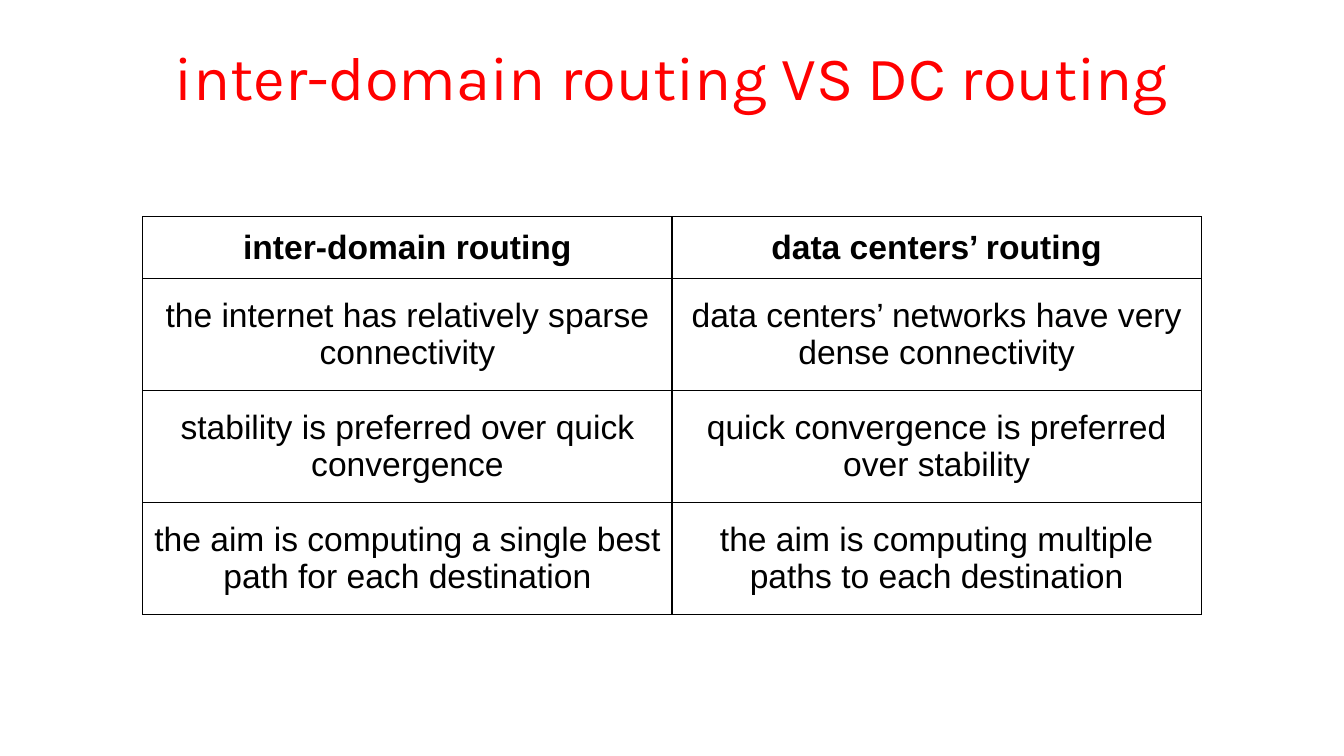
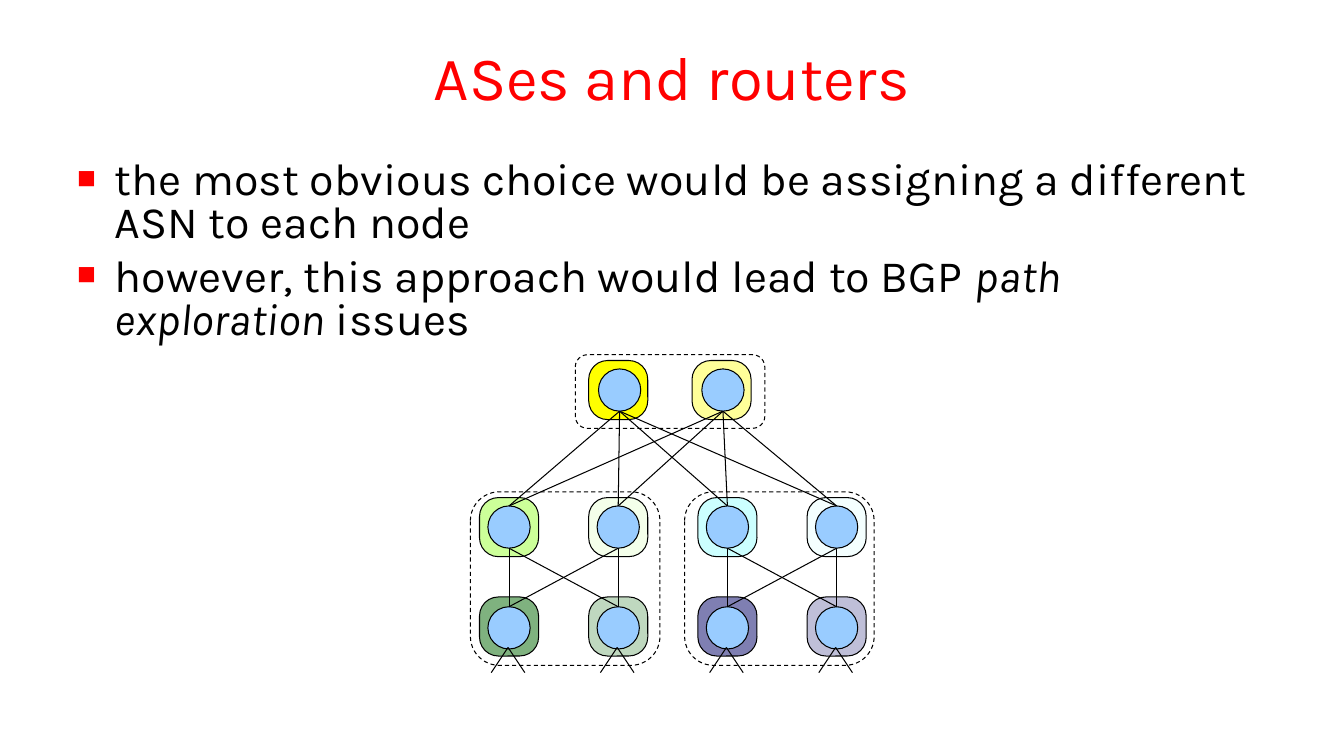
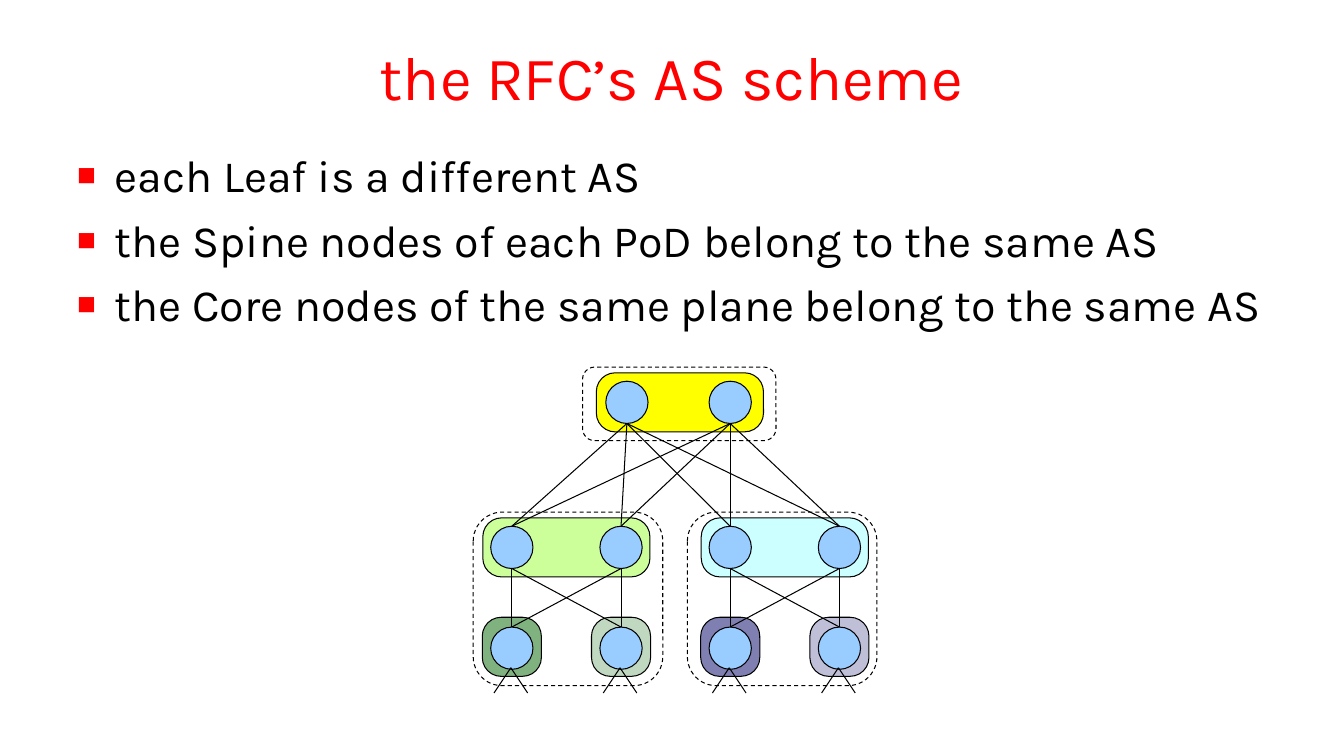
from lxml import etree
from pptx import Presentation
from pptx.dml.color import RGBColor
from pptx.enum.dml import MSO_LINE
from pptx.enum.shapes import MSO_CONNECTOR, MSO_SHAPE
from pptx.enum.text import MSO_ANCHOR, PP_ALIGN
from pptx.oxml.ns import qn
from pptx.util import Pt

STRAIGHT = MSO_CONNECTOR.STRAIGHT
ROUNDED, CIRCLE = MSO_SHAPE.ROUNDED_RECTANGLE, MSO_SHAPE.OVAL
MIDDLE, CENTER, DASH = MSO_ANCHOR.MIDDLE, PP_ALIGN.CENTER, MSO_LINE.DASH

COLORS = {
    "accent": "FF0000", "ink": "000000", "node": "99CCFF",
    "yellow": "FFFF00", "pale_yellow": "FFFF99", "lime": "CCFF99",
    "cyan": "CCFFFF", "green": "006600", "navy": "000066",
}
HEADING_FONT, TABLE_FONT = "Karla", "Arial"

# Content
COMPARISON_TITLE = "inter-domain routing VS DC routing"
COMPARISON = [
    ("inter-domain routing", "data centers’ routing"),
    ("the internet has relatively sparse connectivity",
     "data centers’ networks have very dense connectivity"),
    ("stability is preferred over quick convergence",
     "quick convergence is preferred over stability"),
    ("the aim is computing a single best path for each destination",
     "the aim is computing multiple paths to each destination"),
]

# AS tiles: (tier, first node, last node, colour, opacity in percent)
LEAF_TILES = [
    ("leaf", 0, 0, "green", 50), ("leaf", 1, 1, "green", 25),
    ("leaf", 2, 2, "navy", 50), ("leaf", 3, 3, "navy", 25),
]
# Each bullet is a list of (text, italic) runs
TOPOLOGY_SLIDES = [
    {
        "title": "ASes and routers",
        "bullets": [
            [("the most obvious choice would be assigning a different ASN to each node", False)],
            [("however, this approach would lead to BGP ", False),
             ("path exploration", True), (" issues", False)],
        ],
        "body_top": 111.6, "body_height": 370.8, "line_spacing": 0.8,
        "pod_x": 363.6, "core_x": 442.6, "core_y": 278.6, "spine_y": 376.5,
        "core_tile_shift": -1, "core_box_width": 135.4,
        "tiles": [
            ("core", 0, 0, "yellow", 100), ("core", 1, 1, "pale_yellow", 100),
            ("spine", 0, 0, "lime", 100), ("spine", 1, 1, "lime", 20),
            ("spine", 2, 2, "cyan", 100), ("spine", 3, 3, "cyan", 20),
        ] + LEAF_TILES,
    },
    {
        "title": "the RFC’s AS scheme",
        "bullets": [
            [("each Leaf is a different AS", False)],
            [("the Spine nodes of each PoD belong to the same AS", False)],
            [("the Core nodes of the same plane belong to the same AS", False)],
        ],
        "body_top": 102.2, "body_height": 136, "line_spacing": 1.0,
        "pod_x": 365.6, "core_x": 447.8, "core_y": 287.4, "spine_y": 391,
        "core_tile_shift": 1, "core_box_width": 138.2,
        "tiles": [
            ("core", 0, 1, "yellow", 100),
            ("spine", 0, 1, "lime", 100), ("spine", 2, 3, "cyan", 100),
        ] + LEAF_TILES,
    },
]

# Diagram geometry
POD_STEP, CORE_STEP, LEAF_DROP = 78, 73.8, 72
NODE, RADIUS = 30.2, 15.1
TILE, WIDE_TILE = 42.2, 119.4


def rgb(name):
    return RGBColor.from_string(COLORS[name])


def style_font(font, name, size, color="ink", bold=False, italic=False):
    font.name, font.size, font.bold, font.italic = name, Pt(size), bold, italic
    font.color.rgb = rgb(color)


def add_text_frame(slide, left, top, width, height):
    frame = slide.shapes.add_textbox(Pt(left), Pt(top), Pt(width), Pt(height)).text_frame
    frame.word_wrap = True
    return frame


def add_titled_slide(prs, title):
    slide = prs.slides.add_slide(prs.slide_layouts[6])
    frame = add_text_frame(slide, 48, 9.4, 864, 90)
    frame.vertical_anchor = MIDDLE
    frame.text = title
    frame.paragraphs[0].alignment = CENTER
    style_font(frame.paragraphs[0].runs[0].font, HEADING_FONT, 44, "accent")
    return slide


def add_bullet_mark(paragraph):
    props = paragraph._p.get_or_add_pPr()
    props.set("marL", str(Pt(27)))
    props.set("indent", str(-Pt(27)))
    color = etree.SubElement(props, qn("a:buClr"))
    etree.SubElement(color, qn("a:srgbClr"), val=COLORS["accent"])
    etree.SubElement(props, qn("a:buSzPct"), val="70000")
    etree.SubElement(props, qn("a:buFont"), typeface=TABLE_FONT)
    etree.SubElement(props, qn("a:buChar"), char="■")


def add_bullets(slide, topic):
    frame = add_text_frame(slide, 48, topic["body_top"], 864, topic["body_height"])
    for i, runs in enumerate(topic["bullets"]):
        paragraph = frame.add_paragraph() if i else frame.paragraphs[0]
        add_bullet_mark(paragraph)
        paragraph.line_spacing = topic["line_spacing"]
        paragraph.space_before = Pt(7.5 if i else 0)
        for text, italic in runs:
            run = paragraph.add_run()
            run.text = text
            style_font(run.font, HEADING_FONT, 32, italic=italic)


def set_borders(cell):
    props = cell._tc.get_or_add_tcPr()
    for i, side in enumerate(("a:lnL", "a:lnR", "a:lnT", "a:lnB")):
        border = etree.Element(qn(side), w=str(Pt(1)))
        fill = etree.SubElement(border, qn("a:solidFill"))
        etree.SubElement(fill, qn("a:srgbClr"), val=COLORS["ink"])
        props.insert(i, border)


def add_comparison(slide):
    heights = [44, 80, 80, 80]
    table = slide.shapes.add_table(len(COMPARISON), 2, Pt(102), Pt(154.8),
                                   Pt(756), Pt(sum(heights))).table
    table.first_row = table.horz_banding = False
    for r, (height, texts) in enumerate(zip(heights, COMPARISON)):
        table.rows[r].height = Pt(height)
        for c, text in enumerate(texts):
            cell = table.cell(r, c)
            cell.text = text
            cell.vertical_anchor = MIDDLE
            cell.fill.background()
            set_borders(cell)
            paragraph = cell.text_frame.paragraphs[0]
            paragraph.alignment = CENTER
            style_font(paragraph.runs[0].font, TABLE_FONT, 24, bold=r == 0)


def add_outlined(shapes, kind, left, top, width, height, fill=None, opacity=100):
    shape = shapes.add_shape(kind, Pt(left), Pt(top), Pt(width), Pt(height))
    shape.shadow.inherit = False
    shape.line.color.rgb = rgb("ink")
    shape.line.width = Pt(0.75)
    if fill is None:
        shape.fill.background()
        shape.line.dash_style = DASH
        return shape
    shape.fill.solid()
    shape.fill.fore_color.rgb = rgb(fill)
    if opacity < 100:
        color = shape._element.spPr.find(qn("a:solidFill")).find(qn("a:srgbClr"))
        etree.SubElement(color, qn("a:alpha"), val=str(opacity * 1000))
    return shape


def add_link(shapes, x1, y1, x2, y2):
    link = shapes.add_connector(STRAIGHT, Pt(x1), Pt(y1), Pt(x2), Pt(y2))
    link.line.color.rgb = rgb("ink")
    link.line.width = Pt(0.75)
    etree.SubElement(link._element.spPr, qn("a:effectLst"))


def add_topology(slide, topic):
    shapes = slide.shapes.add_group_shape().shapes
    core_y, spine_y = topic["core_y"], topic["spine_y"]
    leaf_y = spine_y + LEAF_DROP
    cores = [topic["core_x"] + i * CORE_STEP for i in range(2)]
    columns = [topic["pod_x"] + i * POD_STEP for i in range(4)]
    tiers = {"core": (cores, core_y), "spine": (columns, spine_y), "leaf": (columns, leaf_y)}
    tile_shift = {"core": (topic["core_tile_shift"], 0), "spine": (0, 0), "leaf": (0, -1)}

    # AS tiles behind the nodes
    for tier, first, last, color, opacity in topic["tiles"]:
        xs, y = tiers[tier]
        dx, dy = tile_shift[tier]
        width = TILE if first == last else WIDE_TILE
        center = (xs[first] + xs[last]) / 2 + dx
        tile = add_outlined(shapes, ROUNDED, center - width / 2, y + dy - TILE / 2,
                            width, TILE, color, opacity)
        tile.adjustments[0] = 0.32

    # Routers
    for xs, y in tiers.values():
        for x in xs:
            add_outlined(shapes, CIRCLE, x - RADIUS, y - RADIUS, NODE, NODE, "node")

    # Every core to every spine, every spine to the leaves of its pod
    for core in cores:
        for spine in columns:
            add_link(shapes, core, core_y + RADIUS, spine, spine_y - RADIUS)
    for pod in (columns[:2], columns[2:]):
        for spine in pod:
            for leaf in pod:
                add_link(shapes, spine, spine_y + RADIUS, leaf, leaf_y - RADIUS)

    # Stubs below the leaves
    for leaf in columns:
        for side in (-12, 12):
            add_link(shapes, leaf - 0.7, leaf_y + 14, leaf - 0.7 + side, leaf_y + 32)

    # Dashed frames of the pods and the core
    for i in range(2):
        add_outlined(shapes, ROUNDED, columns[0] - 27.6 + i * 153, spine_y - 25.2, 135.4, 124)
    add_outlined(shapes, ROUNDED, cores[0] - 31.7, core_y - 25.2, topic["core_box_width"], 52.6)


def main():
    prs = Presentation()
    prs.slide_width, prs.slide_height = Pt(960), Pt(540)
    add_comparison(add_titled_slide(prs, COMPARISON_TITLE))
    for topic in TOPOLOGY_SLIDES:
        slide = add_titled_slide(prs, topic["title"])
        add_bullets(slide, topic)
        add_topology(slide, topic)
    prs.save("out.pptx")


if __name__ == "__main__":
    main()
